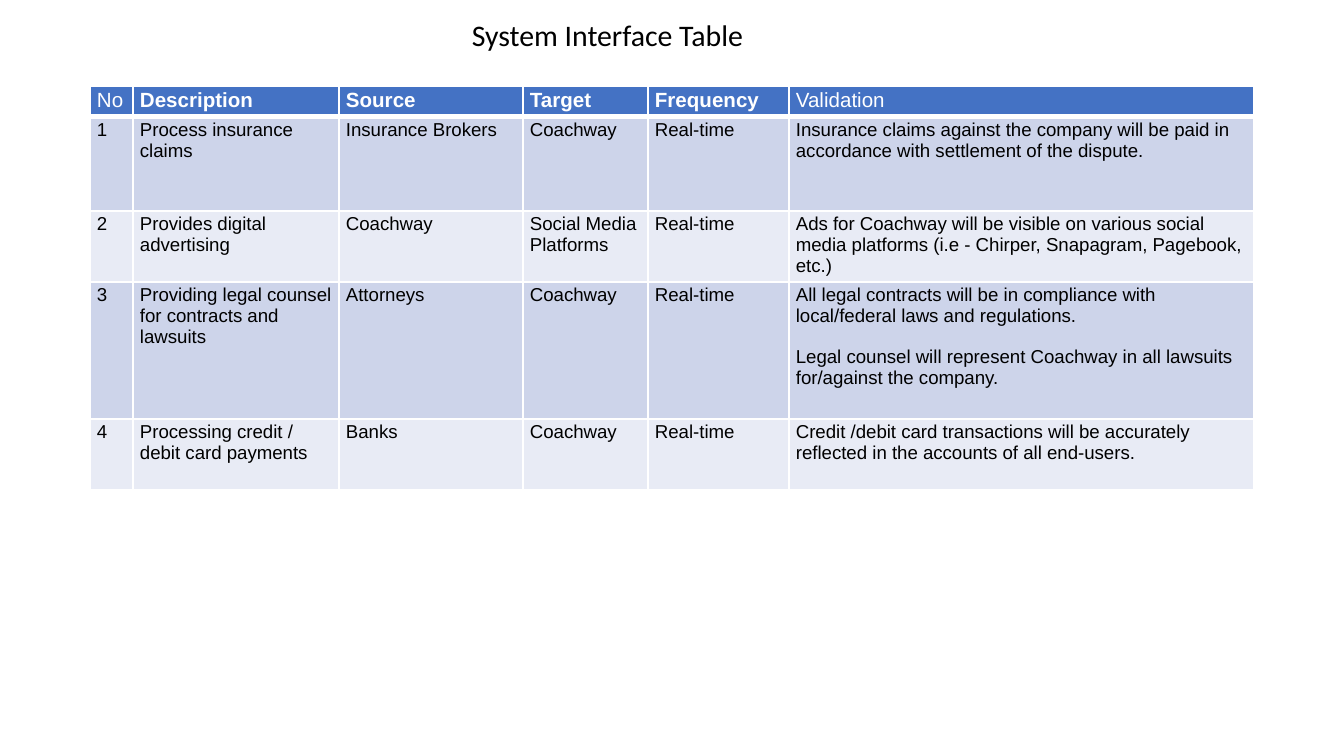
import pptx
import pptx.util
import pptx.dml.color
import pptx.oxml.ns
from lxml import etree

PX = 914400 / 134.4
COLORS = {"white": "FFFFFF", "black": "000000", "header": "4472C4",
          "odd": "CDD4EA", "even": "E8EBF5"}
COL_WIDTHS = [43, 206, 184, 125, 141, 465]
ROW_HEIGHTS = [31, 94, 71, 137, 71]
HEADERS = ["No", "Description", "Source", "Target", "Frequency", "Validation"]
BOLD_HEADERS = HEADERS[1:-1]
# Each validation entry is a list of paragraphs
INTERFACES = [
    ("Process insurance claims", "Insurance Brokers", "Coachway", "Real-time",
     ["Insurance claims against the company will be paid in accordance with "
      "settlement of the dispute."]),
    ("Provides digital advertising", "Coachway", "Social Media Platforms", "Real-time",
     ["Ads for Coachway will be visible on various social media platforms "
      "(i.e - Chirper, Snapagram, Pagebook, etc.)"]),
    ("Providing legal counsel for contracts and lawsuits", "Attorneys", "Coachway",
     "Real-time",
     ["All legal contracts will be in compliance with local/federal laws and regulations.",
      "Legal counsel will represent Coachway in all lawsuits for/against the company."]),
    ("Processing credit / debit card payments", "Banks", "Coachway", "Real-time",
     ["Credit /debit card transactions will be accurately reflected in the accounts "
      "of all end-users."]),
]


def px(n):
    return pptx.util.Emu(round(n * PX))


def rgb(name):
    return pptx.dml.color.RGBColor.from_string(COLORS[name])


def add_run(p, text, size, font, color, bold=False):
    r = p.add_run()
    r.text = text
    r.font.size = pptx.util.Pt(size)
    r.font.name = font
    r.font.bold = bold
    r.font.color.rgb = rgb(color)


def set_margins(box):
    box.margin_left = box.margin_right = px(7)
    box.margin_top = box.margin_bottom = px(3)


def set_borders(cell, bottom):
    tc_pr = cell._tc.get_or_add_tcPr()
    widths = {"lnL": 1, "lnR": 1, "lnT": 1, "lnB": bottom}
    for i, (tag, width) in enumerate(widths.items()):
        ln = etree.Element(pptx.oxml.ns.qn("a:" + tag), w=str(pptx.util.Pt(width)))
        fill = etree.SubElement(ln, pptx.oxml.ns.qn("a:solidFill"))
        etree.SubElement(fill, pptx.oxml.ns.qn("a:srgbClr"), val=COLORS["white"])
        tc_pr.insert(i, ln)


def fill_cell(cell, paragraphs, fill, size, color, bold=False, bottom=1):
    set_margins(cell)
    cell.fill.solid()
    cell.fill.fore_color.rgb = rgb(fill)
    set_borders(cell, bottom)
    tf = cell.text_frame
    for i, text in enumerate(paragraphs):
        p = tf.add_paragraph() if i else tf.paragraphs[0]
        if i:
            p.space_before = pptx.util.Pt(11)
        add_run(p, text, size, "Arial", color, bold)


def add_interface_table(s, x, y):
    table = s.shapes.add_table(len(ROW_HEIGHTS), len(COL_WIDTHS), px(x), px(y),
                               px(sum(COL_WIDTHS)), px(sum(ROW_HEIGHTS))).table
    for col, width in zip(table.columns, COL_WIDTHS):
        col.width = px(width)
    for row, height in zip(table.rows, ROW_HEIGHTS):
        row.height = px(height)

    # Header row
    for cell, text in zip(table.rows[0].cells, HEADERS):
        fill_cell(cell, [text], "header", 11, "white", text in BOLD_HEADERS, bottom=3)

    # Numbered rows with alternating fills
    for n, (*texts, validation) in enumerate(INTERFACES, 1):
        contents = [[str(n)]] + [[t] for t in texts] + [validation]
        for cell, paragraphs in zip(table.rows[n].cells, contents):
            fill_cell(cell, paragraphs, "odd" if n % 2 else "even", 10, "black")


def add_title(s, text, x, y, w, h):
    tf = s.shapes.add_textbox(px(x), px(y), px(w), px(h)).text_frame
    tf.word_wrap = True
    set_margins(tf)
    add_run(tf.paragraphs[0], text, 16, "Calibri", "black")


def main():
    prs = pptx.Presentation()
    prs.slide_width, prs.slide_height = px(1344), px(756)
    s = prs.slides.add_slide(prs.slide_layouts[6])
    add_interface_table(s, 90, 86)
    add_title(s, "System Interface Table", 465, 14, 414, 43)
    prs.save("out.pptx")


main()
